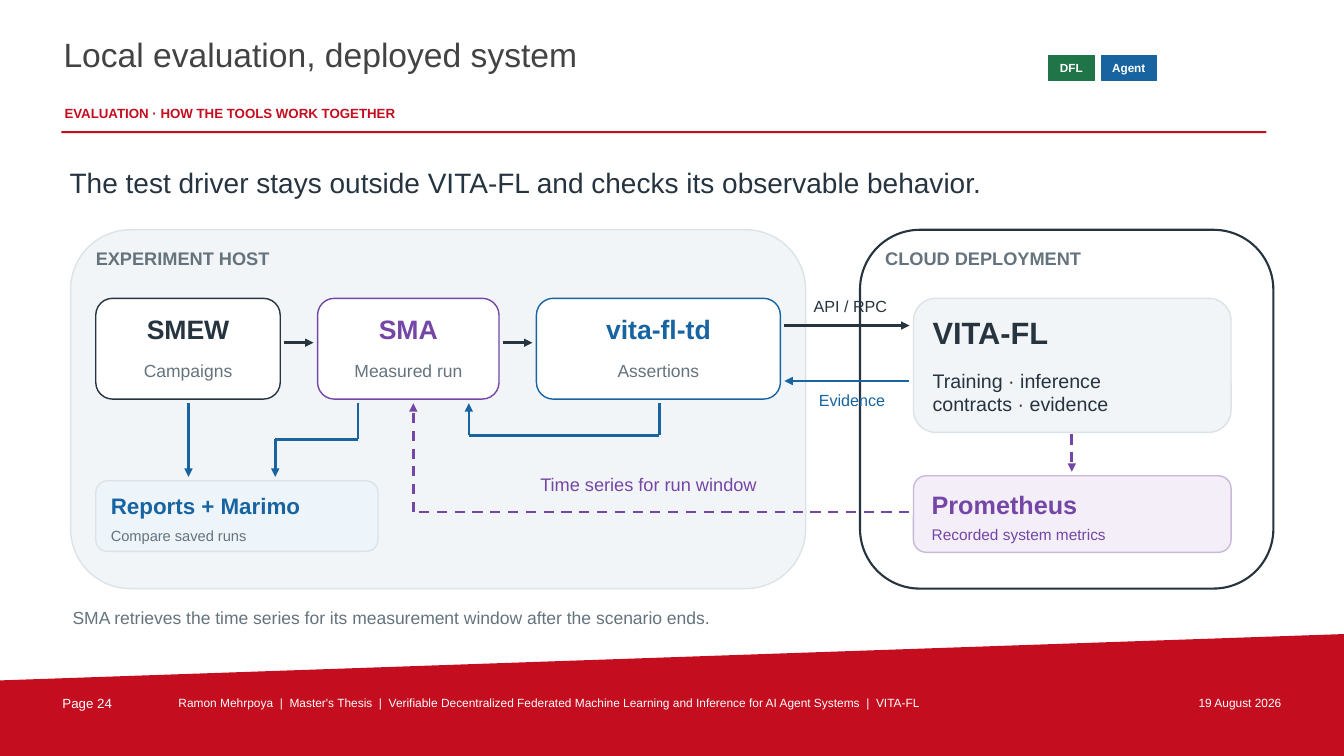
from pptx import Presentation
from pptx.dml.color import RGBColor
from pptx.enum.dml import MSO_LINE
from pptx.enum.shapes import MSO_CONNECTOR, MSO_SHAPE
from pptx.enum.text import MSO_ANCHOR, PP_ALIGN
from pptx.oxml.ns import qn
from pptx.util import Inches, Pt
from lxml import etree

RECT, ROUND = MSO_SHAPE.RECTANGLE, MSO_SHAPE.ROUNDED_RECTANGLE
STRAIGHT, DASH = MSO_CONNECTOR.STRAIGHT, MSO_LINE.DASH
LEFT, CENTER, RIGHT = PP_ALIGN.LEFT, PP_ALIGN.CENTER, PP_ALIGN.RIGHT
TOP, MIDDLE = MSO_ANCHOR.TOP, MSO_ANCHOR.MIDDLE
RED, WHITE, TITLE = "C40D1E", "FFFFFF", "434343"
INK, GREY, BLUE, PURPLE, GREEN = "263440", "65737D", "1764A1", "7446A6", "207548"
PALE, EDGE = "F2F5F7", "DCE3E8"


def color(value):
    return RGBColor.from_string(value)


class Diagram:
    """Draw styled elements on the current page."""

    def __init__(self, page, font="Arial", weight=1.8):
        self.shapes = page.shapes
        self.font = font
        self.weight = weight

    def style(self, shape, fill, line, width):
        shape.shadow.inherit = False
        shape.fill.solid()
        shape.fill.fore_color.rgb = color(fill)
        if line:
            shape.line.color.rgb = color(line)
            shape.line.width = Pt(width)
        else:
            shape.line.fill.background()

    def box(self, left, top, width, height, fill, line=None, line_width=1, kind=ROUND):
        box = self.shapes.add_shape(
            kind, Inches(left), Inches(top), Inches(width), Inches(height))
        self.style(box, fill, line, line_width)
        return box

    def band(self, points, fill):
        corners = [(Inches(x), Inches(y)) for x, y in points]
        builder = self.shapes.build_freeform(*corners[0], scale=1.0)
        builder.add_line_segments(corners[1:], close=True)
        self.style(builder.convert_to_shape(), fill, None, 0)

    def set_text(self, frame, text, size, ink, bold, align, anchor, inset):
        frame.word_wrap = True
        frame.vertical_anchor = anchor
        frame.margin_left = frame.margin_right = Inches(inset)
        frame.margin_top = frame.margin_bottom = Inches(inset)
        frame.text = text
        for paragraph in frame.paragraphs:
            paragraph.alignment = align
            for span in paragraph.runs:
                span.font.name = self.font
                span.font.size = Pt(size)
                span.font.bold = bold
                span.font.color.rgb = color(ink)

    def label(self, left, top, width, height, text, size, ink,
              bold=False, align=LEFT, anchor=MIDDLE, inset=0):
        box = self.shapes.add_textbox(
            Inches(left), Inches(top), Inches(width), Inches(height))
        self.set_text(box.text_frame, text, size, ink, bold, align, anchor, inset)

    def margin_text(self, left, top, width, height, text, size, ink,
                    bold=False, align=LEFT):
        self.label(left, top, width, height, text, size, ink, bold, align, TOP, 0.02)

    def tag(self, left, width, text, fill):
        box = self.box(left, 0.55, width, 0.25, fill, fill, 0.55, RECT)
        self.set_text(box.text_frame, text, 8.4, WHITE, True, CENTER, MIDDLE, 0)

    def panel(self, left, width, heading, fill, line, line_width):
        self.box(left, 2.28, width, 3.56, fill, line, line_width)
        self.label(left + 0.25, 2.42, width - 0.54, 0.29, heading, 13, GREY, True)

    def tool(self, left, width, name, role, ink):
        self.box(left, 2.96, width, 1, WHITE, ink)
        self.label(left + 0.12, 3.08, width - 0.24, 0.36, name, 19, ink, True, CENTER)
        self.label(left + 0.09, 3.54, width - 0.18, 0.27, role, 12.5, GREY, align=CENTER)

    def arrow(self, points, ink, dashed=False):
        for start, end in zip(points, points[1:]):
            line = self.shapes.add_connector(
                STRAIGHT, *(Inches(value) for value in start + end))
            line.line.color.rgb = color(ink)
            line.line.width = Pt(self.weight)
            if dashed:
                line.line.dash_style = DASH
            properties = line._element.spPr
            etree.SubElement(properties, qn("a:effectLst"))
            if end == points[-1]:
                outline = properties.find(qn("a:ln"))
                etree.SubElement(outline, qn("a:tailEnd"), type="triangle")


def main():
    deck = Presentation()
    deck.slide_width, deck.slide_height = Inches(13.33), Inches(7.5)
    page = deck.slides.add_slide(deck.slide_layouts[6])
    diagram = Diagram(page)

    diagram.band([(0, 6.75), (13.33, 6.29), (13.33, 7.5), (0, 7.5)], RED)
    diagram.margin_text(0.61, 0.32, 9.65, 0.62,
                        "Local evaluation, deployed system", 24, TITLE)
    diagram.margin_text(0.62, 1.02, 9.7, 0.22,
                        "EVALUATION · HOW THE TOOLS WORK TOGETHER", 9.5, RED, True)
    diagram.box(0.61, 1.3, 11.95, 0.02, RED, kind=RECT)
    diagram.margin_text(0.6, 6.88, 1.1, 0.22, "Page 24", 9.5, WHITE)
    diagram.margin_text(
        1.75, 6.88, 9.35, 0.22,
        "Ramon Mehrpoya  |  Master's Thesis  |  Verifiable Decentralized Federated "
        "Machine Learning and Inference for AI Agent Systems  |  VITA-FL", 8.5, WHITE)
    diagram.margin_text(11.2, 6.88, 1.53, 0.22, "19 August 2026", 8.5, WHITE, align=RIGHT)
    diagram.tag(10.4, 0.45, "DFL", GREEN)
    diagram.tag(10.92, 0.55, "Agent", BLUE)

    diagram.label(
        0.69, 1.52, 11.95, 0.57,
        "The test driver stays outside VITA-FL and checks its observable behavior.", 20, INK)
    diagram.panel(0.7, 7.29, "EXPERIMENT HOST", PALE, EDGE, 1)
    diagram.panel(8.53, 4.1, "CLOUD DEPLOYMENT", WHITE, INK, 1.5)

    for left, width, name, role, ink in (
            (0.95, 1.83, "SMEW", "Campaigns", INK),
            (3.15, 1.8, "SMA", "Measured run", PURPLE),
            (5.32, 2.42, "vita-fl-td", "Assertions", BLUE)):
        diagram.tool(left, width, name, role, ink)

    diagram.box(9.06, 2.96, 3.15, 1.33, PALE, EDGE)
    diagram.label(9.25, 3.1, 2.77, 0.4, "VITA-FL", 22, INK, True)
    diagram.label(9.25, 3.61, 2.77, 0.56,
                  "Training · inference\ncontracts · evidence", 14, INK)
    diagram.box(9.06, 4.72, 3.15, 0.76, "F3EEF8", "C8B9DB")
    diagram.label(9.24, 4.83, 2.79, 0.34, "Prometheus", 18, PURPLE, True)
    diagram.label(9.24, 5.19, 2.79, 0.22, "Recorded system metrics", 11, PURPLE)
    diagram.box(0.95, 4.77, 2.8, 0.7, "EDF4FA", EDGE)
    diagram.label(1.1, 4.86, 2.5, 0.31, "Reports + Marimo", 16, BLUE, True)
    diagram.label(1.1, 5.21, 2.5, 0.2, "Compare saved runs", 10.5, GREY)

    for points, ink, dashed in (
            ([(2.82, 3.4), (3.11, 3.4)], INK, False),
            ([(4.99, 3.4), (5.28, 3.4)], INK, False),
            ([(7.78, 3.23), (9.02, 3.23)], INK, False),
            ([(9.02, 3.78), (7.78, 3.78)], BLUE, False),
            ([(10.63, 4.31), (10.63, 4.68)], PURPLE, True),
            ([(9.02, 5.08), (4.1, 5.08), (4.1, 4)], PURPLE, True),
            ([(1.87, 4), (1.87, 4.73)], BLUE, False),
            ([(3.55, 4), (3.55, 4.36), (2.73, 4.36), (2.73, 4.73)], BLUE, False),
            ([(6.54, 4), (6.54, 4.32), (4.65, 4.32), (4.65, 4)], BLUE, False)):
        diagram.arrow(points, ink, dashed)

    diagram.label(7.9, 2.91, 1.07, 0.26, "API / RPC", 11.5, INK, align=CENTER)
    diagram.label(7.93, 3.83, 1.04, 0.27, "Evidence", 11.5, BLUE, align=CENTER)
    diagram.label(4.57, 4.66, 3.72, 0.28, "Time series for run window", 13, PURPLE,
                  align=CENTER)
    diagram.label(
        0.72, 5.98, 11.91, 0.3,
        "SMA retrieves the time series for its measurement window after the scenario ends.",
        12.5, GREY)
    deck.save("out.pptx")


if __name__ == "__main__":
    main()
